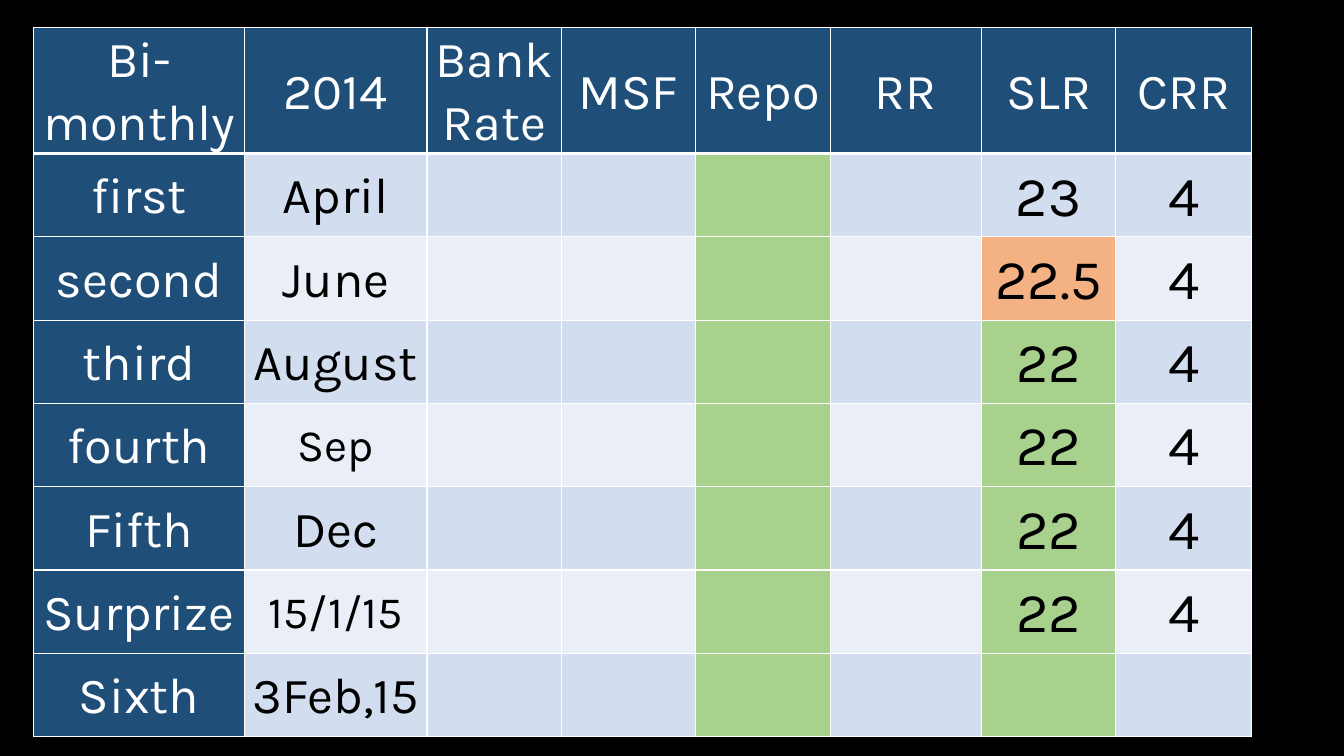
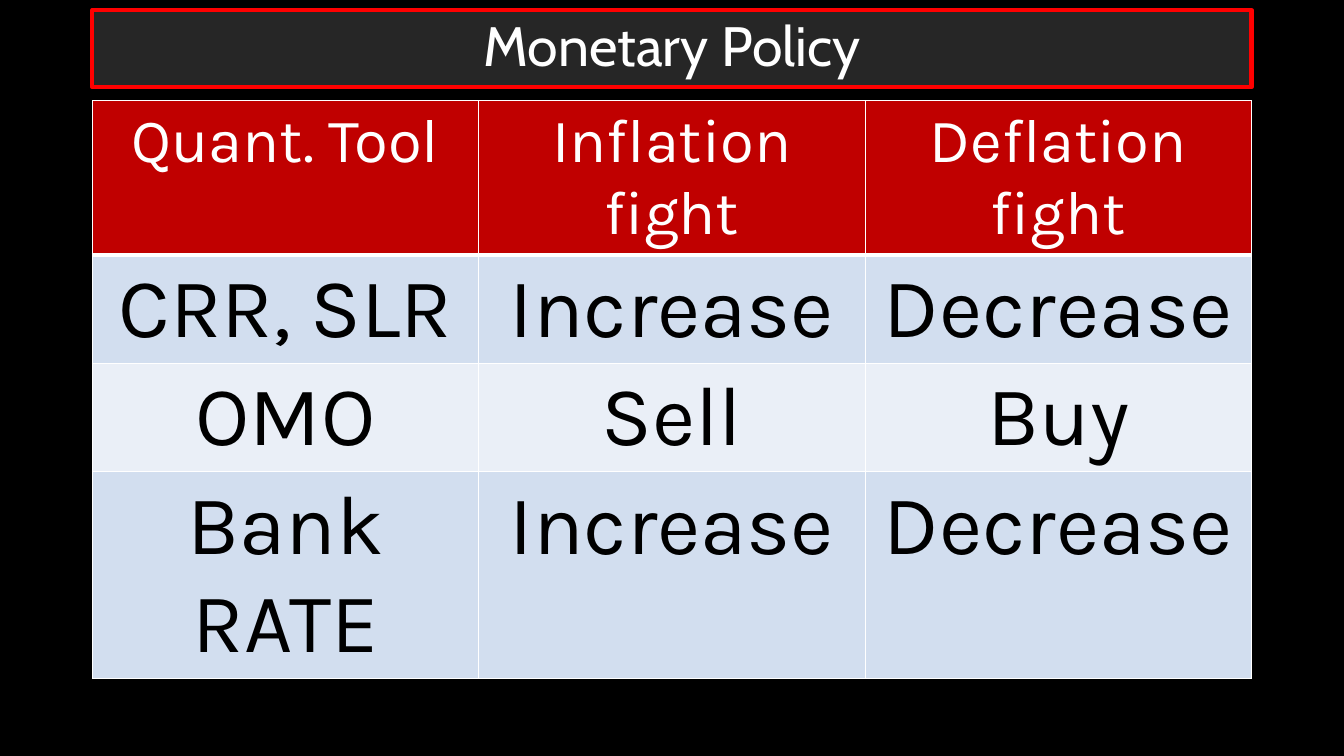
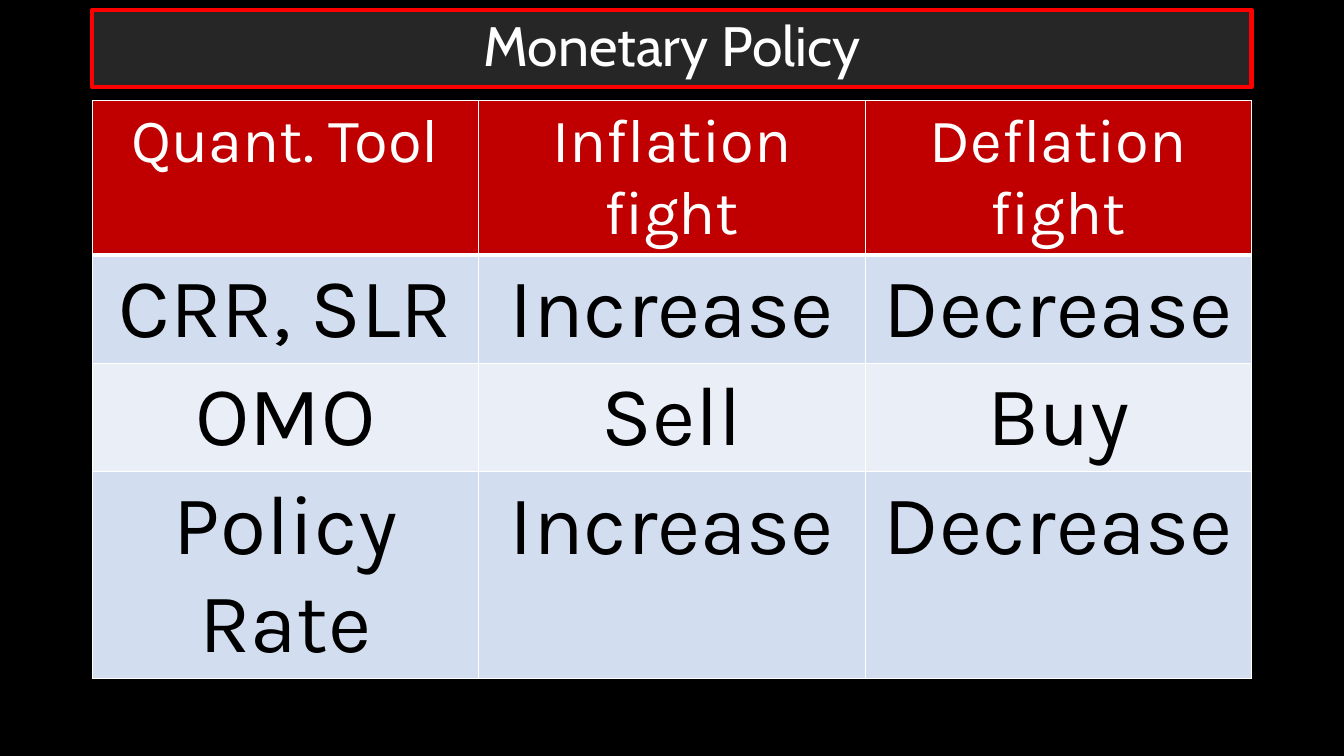
from dataclasses import dataclass

from lxml import etree
from pptx import Presentation
from pptx import util as u
from pptx.dml.color import RGBColor
from pptx.enum import text
from pptx.oxml.ns import qn


@dataclass(frozen=True)
class Theme:
    background: str = "000000"
    title_fill: str = "262626"
    title_line: str = "FF0000"
    light: str = "FFFFFF"
    dark: str = "000000"
    navy: str = "1F4E79"
    red: str = "C00000"
    bands: tuple = ("D2DEEF", "EAEFF7")
    green: str = "A9D18E"
    orange: str = "F4B183"
    title_font: str = "Cabin"
    body_font: str = "Karla"
    title_size: float = 39.6
    small: int = 32
    label: int = 36
    figure: int = 40
    heading: int = 44
    body: int = 60


theme = Theme()
COLUMNS, ROWS = 160, 90  # the slide's grid of square units
UNIT = u.Inches(7.5) // ROWS


def add_grid_table(slide, left, top, widths, heights):
    """Add an unbanded table whose measures are in grid units."""
    frame = slide.shapes.add_table(
        len(heights), len(widths), u.Emu(int(left * UNIT)), u.Emu(int(top * UNIT)),
        u.Emu(int(sum(widths) * UNIT)), u.Emu(int(sum(heights) * UNIT)))
    table = frame.table
    table.first_row = table.horz_banding = False
    for column, width in zip(table.columns, widths):
        column.width = u.Emu(int(width * UNIT))
    for row, height in zip(table.rows, heights):
        row.height = u.Emu(int(height * UNIT))
    return table


def format_cell(cell, content, fill, size, color, bottom=1, spacing=None):
    """Draw borders, fill and centred text; each line is a paragraph."""
    properties = cell._tc.get_or_add_tcPr()
    for side, points in (("L", 1), ("R", 1), ("T", 1), ("B", bottom)):
        border = etree.SubElement(properties, qn(f"a:ln{side}"), w=str(u.Pt(points)))
        solid = etree.SubElement(border, qn("a:solidFill"))
        etree.SubElement(solid, qn("a:srgbClr"), val=theme.light)
    cell.fill.solid()
    cell.fill.fore_color.rgb = RGBColor.from_string(fill)
    for index, line in enumerate(content.split("\n") if content else []):
        frame = cell.text_frame
        paragraph = frame.add_paragraph() if index else frame.paragraphs[0]
        paragraph.alignment = text.PP_ALIGN.CENTER
        paragraph.line_spacing = spacing
        run = paragraph.add_run()
        run.text = line
        run.font.name = theme.body_font
        run.font.size = u.Pt(size)
        run.font.color.rgb = RGBColor.from_string(color)


presentation = Presentation()
presentation.slide_width = u.Emu(COLUMNS * UNIT)
presentation.slide_height = u.Emu(ROWS * UNIT)
background = presentation.slide_master.background.fill
background.solid()
background.fore_color.rgb = RGBColor.from_string(theme.background)
title_only, blank = presentation.slide_layouts[5], presentation.slide_layouts[6]

# Policy rates by review
headings = ["Bi-monthly", "2014", "Bank\nRate", "MSF", "Repo", "RR", "SLR", "CRR"]
reviews = [
    ("first", "April", "23", "4"),
    ("second", "June", "22.5", "4"),
    ("third", "August", "22", "4"),
    ("fourth", "Sep", "22", "4"),
    ("Fifth", "Dec", "22", "4"),
    ("Surprize", "15/1/15", "22", "4"),
    ("Sixth", "3Feb,15", "", ""),
]
small_dates = ("Sep", "15/1/15")
rate_rows = [headings] + [[name, date, "", "", "", "", slr, crr]
                          for name, date, slr, crr in reviews]
REPO, SLR = headings.index("Repo"), headings.index("SLR")

slide = presentation.slides.add_slide(blank)
rates = add_grid_table(slide, 4, 3.25, [25.1, 21.75, 16, 16, 16, 18, 16, 16.2],
                       [15] + [9.92] * len(reviews))
for r, values in enumerate(rate_rows):
    for c, value in enumerate(values):
        is_label = r == 0 or c == 0
        fill = theme.bands[(r - 1) % 2]
        if is_label:
            fill = theme.navy
        elif value == "22.5":
            fill = theme.orange
        elif c == REPO or (c == SLR and r > 2):
            fill = theme.green
        size = theme.label if is_label or c == 1 else theme.figure
        if value in small_dates:
            size = theme.small
        cell = rates.cell(r, c)
        cell.vertical_anchor = text.MSO_ANCHOR.MIDDLE
        cell.margin_left = cell.margin_right = u.Inches(0.07)
        cell.margin_top = cell.margin_bottom = 0
        format_cell(cell, value, fill, size, theme.light if is_label else theme.dark,
                    bottom=1 if r else 3, spacing=1.07)

# Monetary policy tools, once for each name of the rate
for rate_name in ("Bank\nRATE", "Policy Rate"):
    slide = presentation.slides.add_slide(title_only)
    title = slide.shapes.title
    title.left, title.top = u.Emu(11 * UNIT), u.Emu(int(1.2 * UNIT))
    title.width, title.height = u.Emu(138 * UNIT), u.Emu(int(9.2 * UNIT))
    title.fill.solid()
    title.fill.fore_color.rgb = RGBColor.from_string(theme.title_fill)
    title.line.color.rgb = RGBColor.from_string(theme.title_line)
    title.line.width = u.Pt(3)
    title.text_frame.auto_size = text.MSO_AUTO_SIZE.NONE
    title.text_frame.vertical_anchor = text.MSO_ANCHOR.MIDDLE
    paragraph = title.text_frame.paragraphs[0]
    paragraph.alignment = text.PP_ALIGN.CENTER
    paragraph.line_spacing = 0.9
    run = paragraph.add_run()
    run.text = "Monetary Policy"
    run.font.name = theme.title_font
    run.font.size = u.Pt(theme.title_size)
    run.font.color.rgb = RGBColor.from_string(theme.light)

    tool_rows = [
        ("Quant. Tool", "Inflation fight", "Deflation fight"),
        ("CRR, SLR", "Increase", "Decrease"),
        ("OMO", "Sell", "Buy"),
        (rate_name, "Increase", "Decrease"),
    ]
    tools = add_grid_table(slide, 11, 12, [46] * 3, [18.3, 12.9, 12.9, 24.6])
    for r, values in enumerate(tool_rows):
        for c, value in enumerate(values):
            if r == 0:
                format_cell(tools.cell(r, c), value, theme.red, theme.heading,
                            theme.light, bottom=3)
            else:
                format_cell(tools.cell(r, c), value, theme.bands[(r - 1) % 2],
                            theme.body, theme.dark)

presentation.save("out.pptx")
